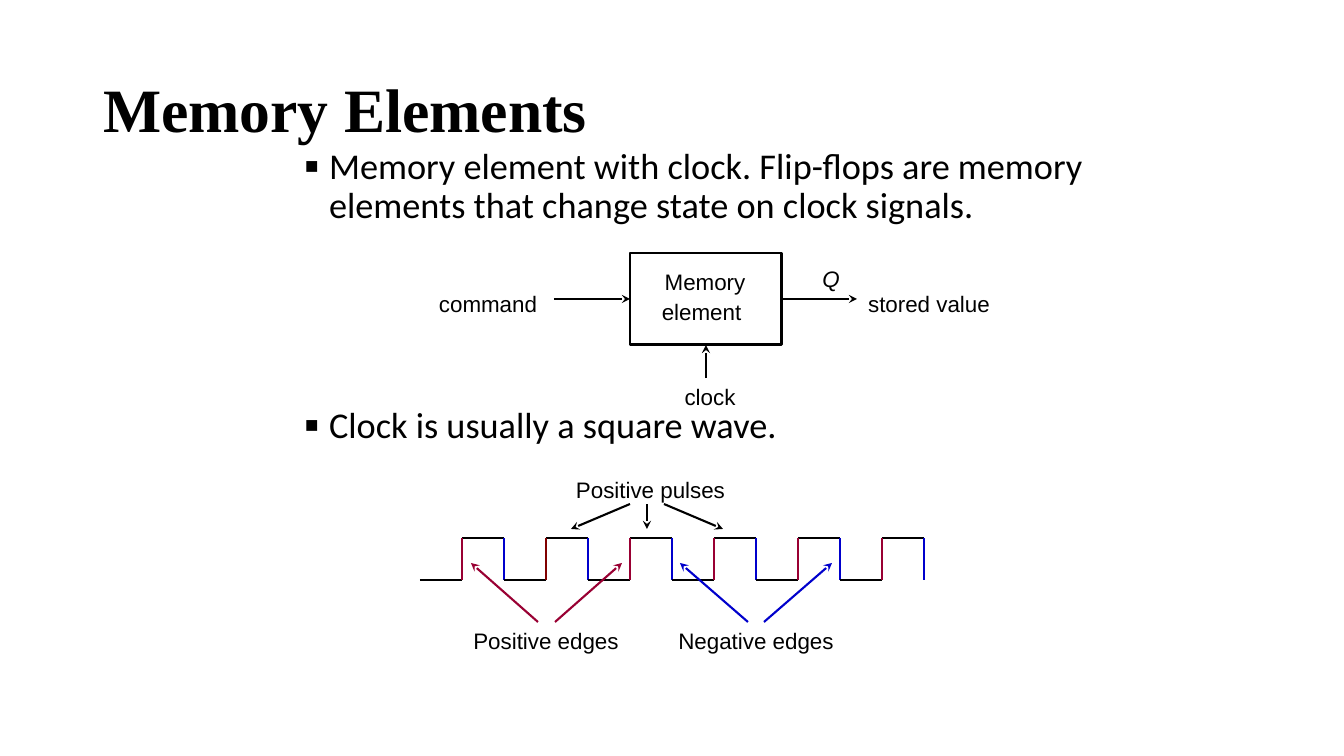
from lxml import etree
from pptx import Presentation
from pptx.dml.color import RGBColor
from pptx.enum.shapes import MSO_CONNECTOR, MSO_SHAPE
from pptx.enum.text import MSO_ANCHOR, MSO_AUTO_SIZE, PP_ALIGN
from pptx.oxml.ns import qn
from pptx.util import Emu, Pt

STRAIGHT = MSO_CONNECTOR.STRAIGHT
RECTANGLE = MSO_SHAPE.RECTANGLE
MIDDLE = MSO_ANCHOR.MIDDLE
FIT_NONE, FIT_SHAPE = MSO_AUTO_SIZE.NONE, MSO_AUTO_SIZE.SHAPE_TO_FIT_TEXT
LEFT, CENTER = PP_ALIGN.LEFT, PP_ALIGN.CENTER

BLACK = RGBColor(0x00, 0x00, 0x00)
CRIMSON = RGBColor(0x99, 0x00, 0x33)
MAROON = RGBColor(0x80, 0x00, 0x00)
BLUE = RGBColor(0x00, 0x00, 0xCC)

TITLE_FONT, BODY_FONT, LABEL_FONT = "Times New Roman", "Calibri", "Arial"
SIDE_TOP, SIDE_LEFT, SIDE_BOTTOM, SIDE_RIGHT = range(4)


def px(length):
    """Turn pixels (100.8 to the inch) into EMU."""
    return Emu(round(length * 914400 / 100.8))


def set_font(font, name, size, bold=False, italic=False):
    font.name, font.size = name, Pt(size)
    font.bold, font.italic = bold, italic
    font.color.rgb = BLACK


class Page:
    """The slide and its style; new elements go into the current group."""

    def __init__(self, deck):
        self.slide = deck.slides.add_slide(deck.slide_layouts[1])
        self.shapes = self.slide.shapes

    def start_group(self):
        self.shapes = self.slide.shapes.add_group_shape().shapes

    def place(self, shape, x, y, width, height):
        shape.left, shape.top = px(x), px(y)
        shape.width, shape.height = px(width), px(height)

    def title(self, text, *bounds):
        title = self.slide.shapes.title
        self.place(title, *bounds)
        frame = title.text_frame
        frame.text = text
        frame.vertical_anchor = MIDDLE
        frame.auto_size = FIT_NONE
        para = frame.paragraphs[0]
        para.alignment = LEFT
        para.line_spacing = 0.9
        set_font(para.font, TITLE_FONT, 44, bold=True)

    def bullets(self, items, *bounds):
        """Fill the body with (text, points of space before) items."""
        body = self.slide.placeholders[1]
        self.place(body, *bounds)
        frame = body.text_frame
        frame.text = "\n".join(text for text, _ in items)
        frame.auto_size = FIT_NONE
        for para, (_, space) in zip(frame.paragraphs, items):
            para.line_spacing = 0.9
            para.space_before = Pt(space)
            properties = para._p.get_or_add_pPr()
            properties.set("marL", str(px(25)))
            properties.set("indent", str(-px(25)))
            etree.SubElement(properties, qn("a:buSzPct"), val="120000")
            etree.SubElement(properties, qn("a:buChar"), char="▪")
            set_font(para.font, BODY_FONT, 25.9)

    def label(self, text, x, y, width, height=37, italic=False, end_space=None):
        """Add a centred label; end_space is the size of a closing space."""
        box = self.shapes.add_textbox(px(x), px(y), px(width), px(height))
        frame = box.text_frame
        frame.word_wrap = True
        frame.auto_size = FIT_SHAPE
        para = frame.paragraphs[0]
        para.alignment = CENTER
        set_font(para.font, LABEL_FONT, 16, italic=italic)
        para.add_run().text = text
        if end_space:
            span = para.add_run()
            span.text = " "
            span.font.size = Pt(end_space)

    def box(self, *bounds):
        box = self.shapes.add_shape(RECTANGLE, *map(px, bounds))
        box.shadow.inherit = False
        box.fill.background()
        box.line.color.rgb = BLACK
        box.line.width = Pt(2)
        return box

    def line(self, start, end, color=BLACK, arrow=False):
        line = self.shapes.add_connector(STRAIGHT, *map(px, (*start, *end)))
        line.line.color.rgb = color
        line.line.width = Pt(1.5)
        properties = line._element.spPr
        if arrow:
            outline = properties.find(qn("a:ln"))
            etree.SubElement(outline, qn("a:tailEnd"), type="stealth")
        etree.SubElement(properties, qn("a:effectLst"))
        return line


def draw_memory_element(page):
    page.start_group()
    page.label("command", 420, 282, 143, 40, end_space=18)
    memory = page.box(630, 253, 152, 92)
    page.label("Memory element", 638, 263, 134, 67, end_space=18)
    page.label("stored value", 857, 282, 151, 40, end_space=18)
    page.label("Q", 806, 260, 50, italic=True)
    page.label("clock", 672, 378, 76, end_space=16)
    command = page.line((554, 299), (630, 299), arrow=True)
    command.end_connect(memory, SIDE_LEFT)
    stored = page.line((782, 299), (857, 299), arrow=True)
    stored.begin_connect(memory, SIDE_RIGHT)
    clock = page.line((706, 378), (706, 345), arrow=True)
    clock.end_connect(memory, SIDE_BOTTOM)


def draw_clock_wave(page):
    page.start_group()
    left, half, high, low = 420, 42, 538, 580
    rising_colors = [CRIMSON, MAROON, CRIMSON, CRIMSON, CRIMSON, CRIMSON]
    for cycle, rising_color in enumerate(rising_colors):
        start = left + 2 * half * cycle
        rise, fall = start + half, start + 2 * half
        page.line((start, low), (rise, low))
        page.line((rise, high), (fall, high))
        page.line((rise, high), (rise, low), rising_color)
        page.line((fall, high), (fall, low), BLUE)

    page.label("Positive pulses", 562, 471, 177)
    page.label("Positive edges", 462, 622, 168)
    page.label("Negative edges", 664, 622, 184)
    for start, end in ((630, 571), (647, 647), (664, 723)):
        page.line((start, 504), (end, 529), arrow=True)
    edge_arrows = ((538, 471, CRIMSON), (555, 622, CRIMSON),
                   (748, 680, BLUE), (764, 832, BLUE))
    for start, end, color in edge_arrows:
        page.line((start, 622), (end, 563), color, arrow=True)


def main():
    deck = Presentation()
    deck.slide_width, deck.slide_height = px(1344), px(756)
    page = Page(deck)
    page.title("Memory Elements", 93, 40, 1159, 146)
    page.bullets([
        ("Memory element with clock. Flip-flops are memory elements "
         "that change state on clock signals.", 0),
        ("Clock is usually a square wave.", 129),
    ], 294, 143, 849, 361)
    draw_memory_element(page)
    draw_clock_wave(page)
    deck.save("out.pptx")


if __name__ == "__main__":
    main()
